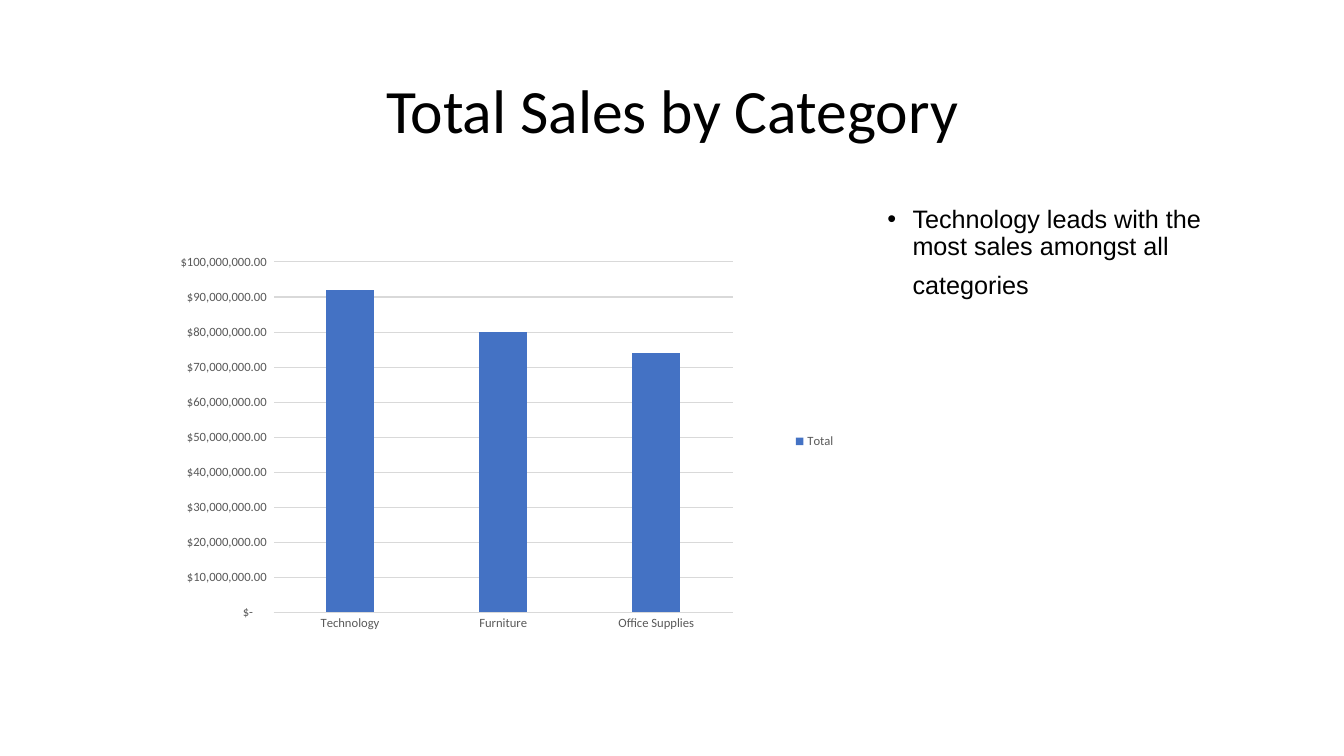
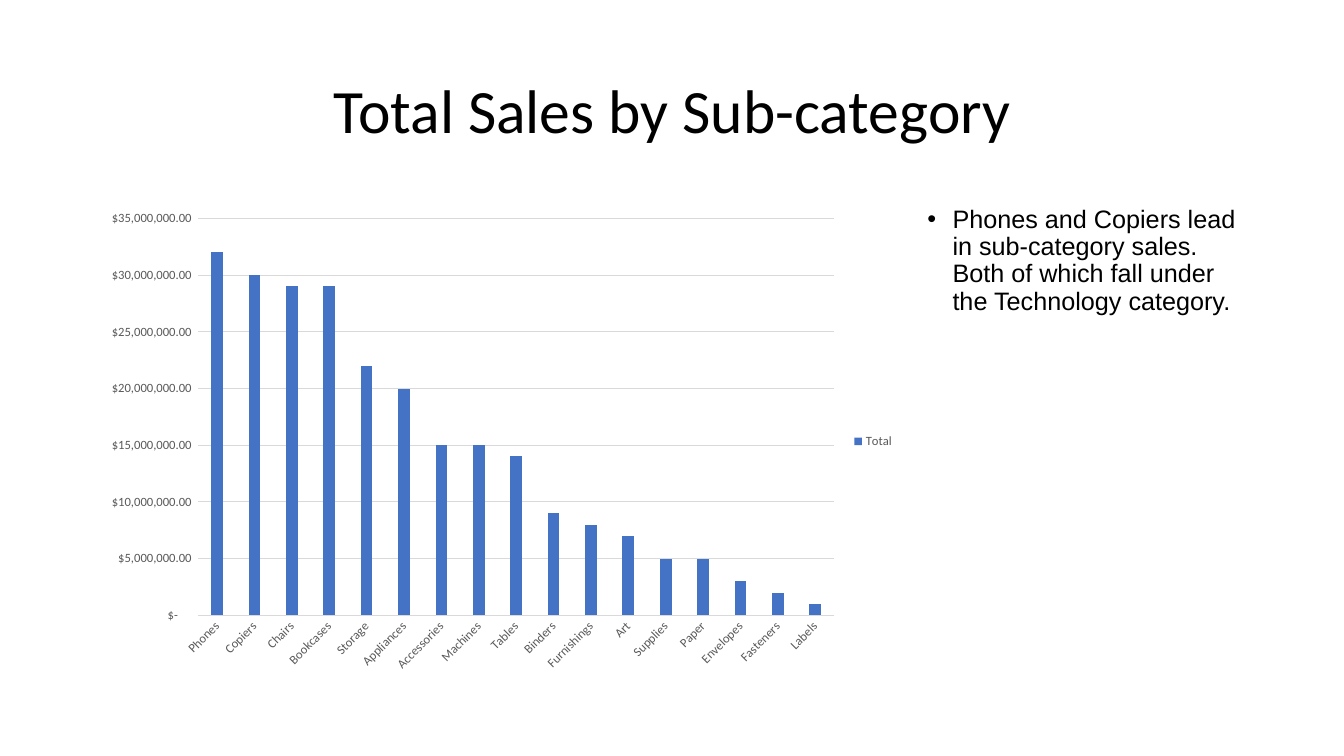
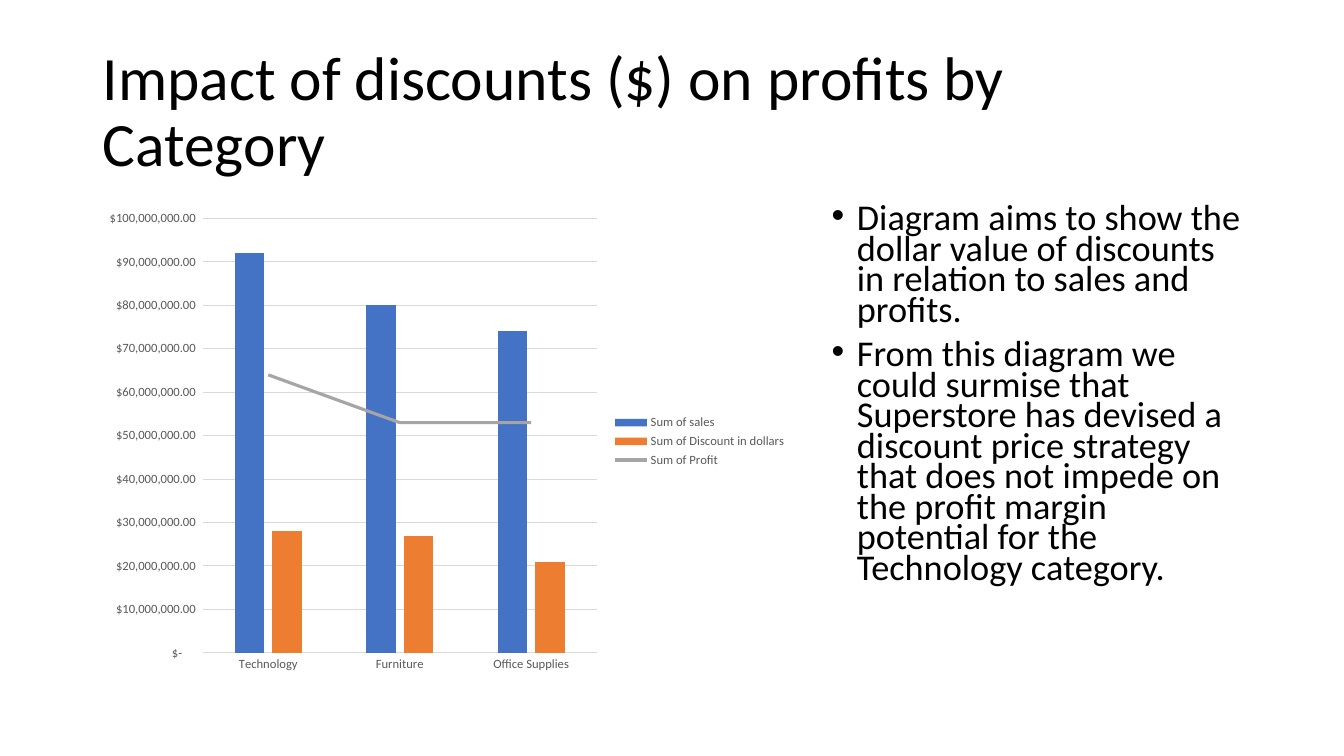
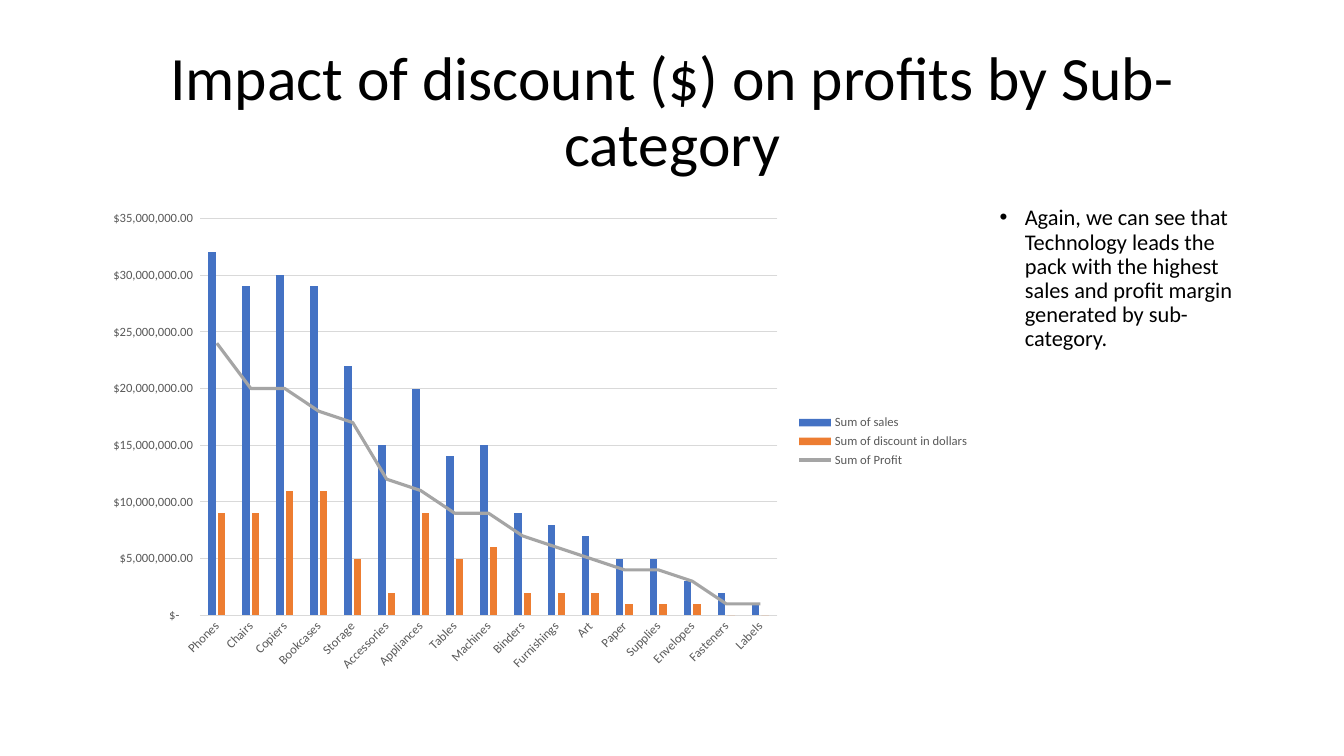
from pptx import Presentation
from pptx.chart.data import CategoryChartData
from pptx.dml.color import RGBColor
from pptx.enum import chart as ch, text as tx
from pptx.oxml import parse_xml
from pptx.oxml.ns import nsdecls, qn
from pptx.util import Pt

COLORS = {"ink": "000000", "label": "595959", "grid": "D9D9D9",
          "sales": "4472C4", "discount": "ED7D31", "profit": "A5A5A5"}
LEFT, RIGHT, CONTENT_TOP, CHART_HEIGHT = 66.25, 894.25, 144, 342.5
MILLION = 1_000_000
DOLLARS = r'_("$"* #,##0.00_);_("$"* \(#,##0.00\);_("$"* "-"??_);_(@_)'

CATEGORY_SALES = {"Technology": 92, "Furniture": 80, "Office Supplies": 74}
SUB_SALES = {
    "Phones": 32, "Copiers": 30, "Chairs": 29, "Bookcases": 29, "Storage": 22,
    "Appliances": 20, "Accessories": 15, "Machines": 15, "Tables": 14, "Binders": 9,
    "Furnishings": 8, "Art": 7, "Supplies": 5, "Paper": 5, "Envelopes": 3,
    "Fasteners": 2, "Labels": 1,
}
SUB_BY_PROFIT = ["Phones", "Chairs", "Copiers", "Bookcases", "Storage", "Accessories",
                 "Appliances", "Tables", "Machines", "Binders", "Furnishings", "Art",
                 "Paper", "Supplies", "Envelopes", "Fasteners", "Labels"]

SLIDES = [
    dict(title="Total Sales by Category",
         points=["Technology leads with the most sales amongst all categories"],
         points_format=dict(size=18, font="Arial", tail_size=28),
         points_left=626.7, points_height=248.5, chart_width=538,
         categories=list(CATEGORY_SALES), top=100, step=10,
         plot_box=dict(x=0.24, y=0.126, w=0.61, h=0.731),
         series={"Total": list(CATEGORY_SALES.values())}),
    dict(title="Total Sales by Sub-category",
         points=["Phones and Copiers lead in sub-category sales. "
                 "Both of which fall under the Technology category."],
         points_format=dict(size=18, font="Arial"),
         points_left=655.3, points_height=240, chart_width=579.75,
         categories=list(SUB_SALES), top=35, step=5,
         series={"Total": list(SUB_SALES.values())}),
    dict(title="Impact of discounts ($) on profits by Category",
         title_align=tx.PP_ALIGN.LEFT,
         points=["Diagram aims to show the dollar value of discounts in relation "
                 "to sales and profits.",
                 "From this diagram we could surmise that Superstore has devised a "
                 "discount price strategy that does not impede on the profit margin "
                 "potential for the Technology category."],
         points_format=dict(size=25.9, spacing=0.7),
         points_left=587, points_height=280, chart_width=502.75,
         categories=list(CATEGORY_SALES), top=100, step=10,
         series={"Sum of sales": list(CATEGORY_SALES.values()),
                 "Sum of Discount in dollars": [28, 27, 21],
                 "Sum of Profit": [64, 53, 53]}),
    dict(title="Impact of discount ($) on profits by Sub-category",
         points=["Again, we can see that Technology leads the pack with the highest "
                 "sales and profit margin generated by sub-category."],
         points_format=dict(size=16),
         points_left=707, points_height=193.5, chart_width=633.5,
         categories=SUB_BY_PROFIT, top=35, step=5,
         series={"Sum of sales": [SUB_SALES[name] for name in SUB_BY_PROFIT],
                 "Sum of discount in dollars": [9, 9, 11, 11, 5, 2, 9, 5, 6,
                                                2, 2, 2, 1, 1, 1, 0, 0],
                 "Sum of Profit": [24, 20, 20, 18, 17, 12, 11, 9, 9,
                                   7, 6, 5, 4, 4, 3, 1, 1]}),
]


def style_font(font, size, color="ink", name="Calibri"):
    font.size = Pt(size)
    font.name = name
    font.color.rgb = RGBColor.from_string(COLORS[color])


def add_text(slide, paragraphs, box, size, font="Calibri", align=tx.PP_ALIGN.LEFT,
             anchor=tx.MSO_ANCHOR.TOP, spacing=0.9, before=0, bullet=False, tail_size=None):
    frame = slide.shapes.add_textbox(*map(Pt, box)).text_frame
    frame.word_wrap = True
    frame.vertical_anchor = anchor
    for index, wording in enumerate(paragraphs):
        paragraph = frame.add_paragraph() if index else frame.paragraphs[0]
        paragraph.alignment = align
        paragraph.line_spacing = spacing
        paragraph.space_before = Pt(before)
        run = paragraph.add_run()
        run.text = wording
        style_font(run.font, size, name=font)
        if tail_size:
            tail = paragraph.add_run()
            tail.text = " "
            style_font(tail.font, tail_size)
        if bullet:
            props = paragraph._p.get_or_add_pPr()
            props.set("marL", str(Pt(18)))
            props.set("indent", str(-Pt(18)))
            props.append(parse_xml(f'<a:buFont {nsdecls("a")} typeface="Arial"/>'))
            props.append(parse_xml(f'<a:buChar {nsdecls("a")} char="•"/>'))


prs = Presentation()
prs.slide_width, prs.slide_height = Pt(960), Pt(540)

for content in SLIDES:
    slide = prs.slides.add_slide(prs.slide_layouts[6])
    add_text(slide, [content["title"]], (LEFT, 28.75, RIGHT - LEFT, 104.5), size=44,
             align=content.get("title_align", tx.PP_ALIGN.CENTER),
             anchor=tx.MSO_ANCHOR.MIDDLE)
    points_left = content["points_left"]
    add_text(slide, content["points"],
             (points_left, CONTENT_TOP, RIGHT - points_left, content["points_height"]),
             before=10, bullet=True, **content["points_format"])

    figures = CategoryChartData(number_format=DOLLARS)
    figures.categories = content["categories"]
    for name, millions in content["series"].items():
        figures.add_series(name, [value * MILLION for value in millions])
    chart = slide.shapes.add_chart(
        ch.XL_CHART_TYPE.COLUMN_CLUSTERED, Pt(LEFT), Pt(CONTENT_TOP),
        Pt(content["chart_width"]), Pt(CHART_HEIGHT), figures).chart
    chart.has_title = False
    style_font(chart.font, 10)
    chart.has_legend = True
    chart.legend.position = ch.XL_LEGEND_POSITION.RIGHT
    chart.legend.include_in_layout = False
    style_font(chart.legend.font, 9, "label")

    for axis in (chart.category_axis, chart.value_axis):
        axis.major_tick_mark = axis.minor_tick_mark = ch.XL_TICK_MARK.NONE
        style_font(axis.tick_labels.font, 9, "label")
    chart.category_axis.has_major_gridlines = False
    amounts = chart.value_axis
    amounts.has_major_gridlines = True
    amounts.minimum_scale = 0
    amounts.maximum_scale = content["top"] * MILLION
    amounts.major_unit = content["step"] * MILLION
    amounts.tick_labels.number_format = DOLLARS
    amounts.tick_labels.number_format_is_linked = False
    amounts.format.line.fill.background()
    for line in (chart.category_axis.format.line, amounts.major_gridlines.format.line):
        line.width = Pt(0.75)
        line.color.rgb = RGBColor.from_string(COLORS["grid"])

    columns = chart.plots[0]
    columns.gap_width, columns.overlap = 219, -27
    columns.vary_by_categories = False
    for series, color in zip(columns.series, ("sales", "discount")):
        series.format.fill.solid()
        series.format.fill.fore_color.rgb = RGBColor.from_string(COLORS[color])

    plot_area = chart.element.find(".//" + qn("c:plotArea"))
    if len(content["categories"]) > 3:
        labels = plot_area.find("/".join(map(qn, ("c:catAx", "c:txPr", "a:bodyPr"))))
        labels.set("rot", "-2700000")
        labels.set("vert", "horz")

    if len(content["series"]) == 3:
        bars = plot_area.find(qn("c:barChart"))
        profit_xml = bars.findall(qn("c:ser"))[2]
        invert = profit_xml.find(qn("c:invertIfNegative"))
        if invert is not None:
            profit_xml.remove(invert)
        axis_ids = "".join(f'<c:axId val="{axis_id.get("val")}"/>'
                           for axis_id in bars.findall(qn("c:axId")))
        lines = parse_xml(f'<c:lineChart {nsdecls("c")}><c:grouping val="standard"/>'
                          f'<c:varyColors val="0"/><c:marker val="1"/>{axis_ids}</c:lineChart>')
        lines.insert(2, profit_xml)
        bars.addnext(lines)
        profit = chart.plots[1].series[0]
        profit.smooth = False
        profit.marker.style = ch.XL_MARKER_STYLE.NONE
        profit.format.line.width = Pt(2.25)
        profit.format.line.color.rgb = RGBColor.from_string(COLORS["profit"])

    if "plot_box" in content:
        layout = plot_area.find(qn("c:layout"))
        if layout is not None:
            plot_area.remove(layout)
        sizes = "".join(f'<c:{key} val="{value}"/>' for key, value in content["plot_box"].items())
        plot_area.insert(0, parse_xml(
            f'<c:layout {nsdecls("c")}><c:manualLayout><c:layoutTarget val="inner"/>'
            f'<c:xMode val="edge"/><c:yMode val="edge"/>{sizes}</c:manualLayout></c:layout>'))

prs.save("out.pptx")
